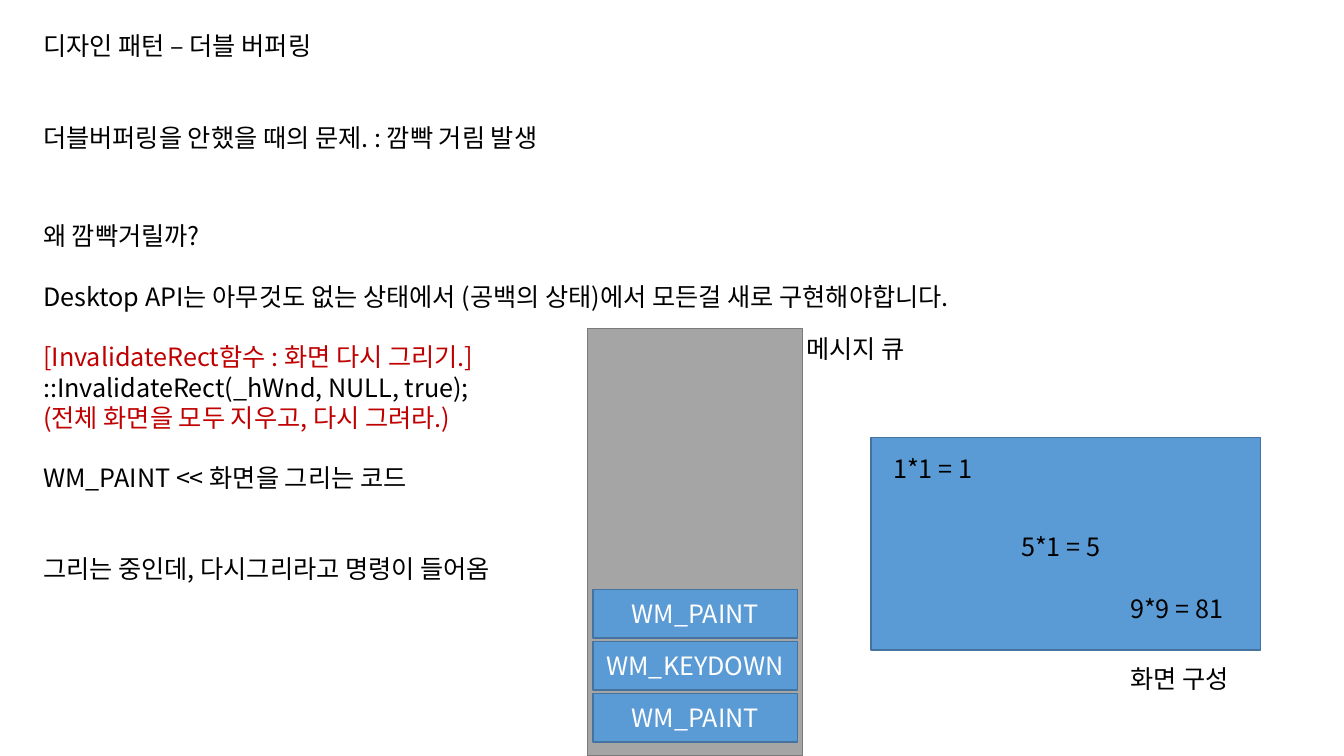
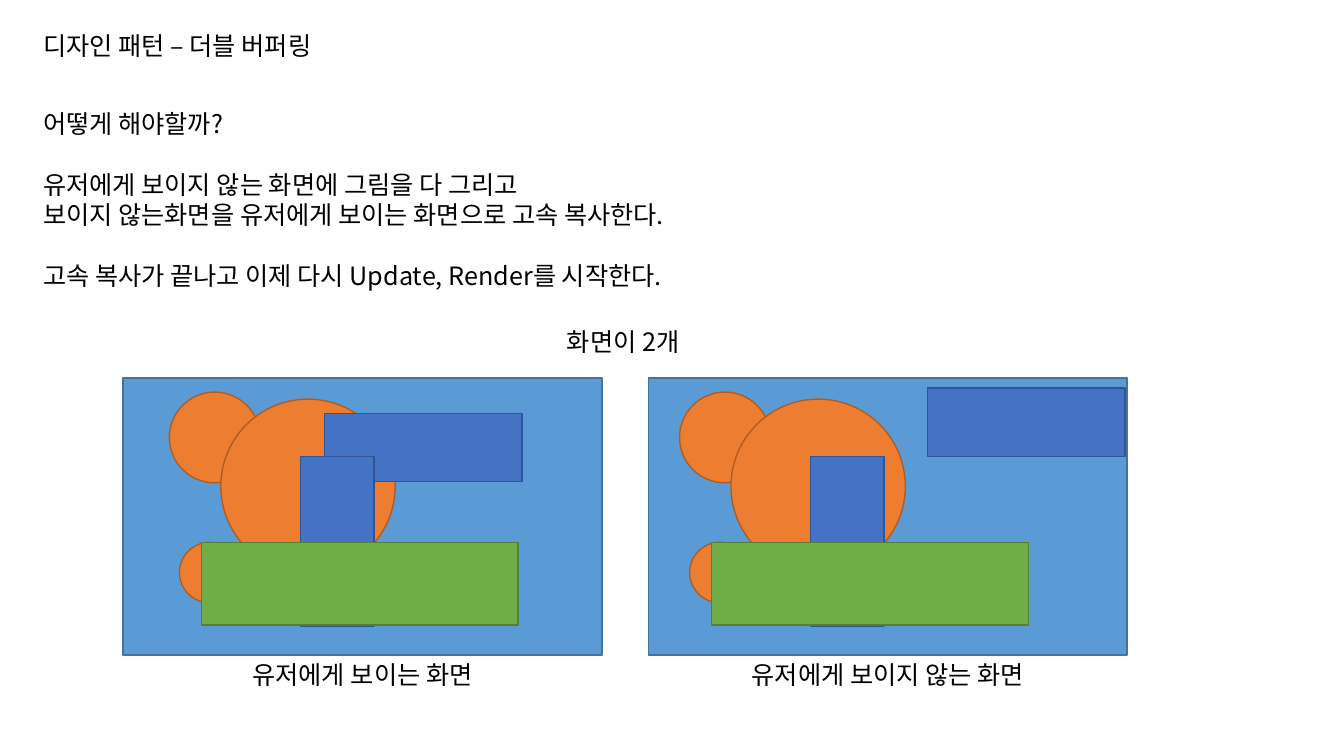
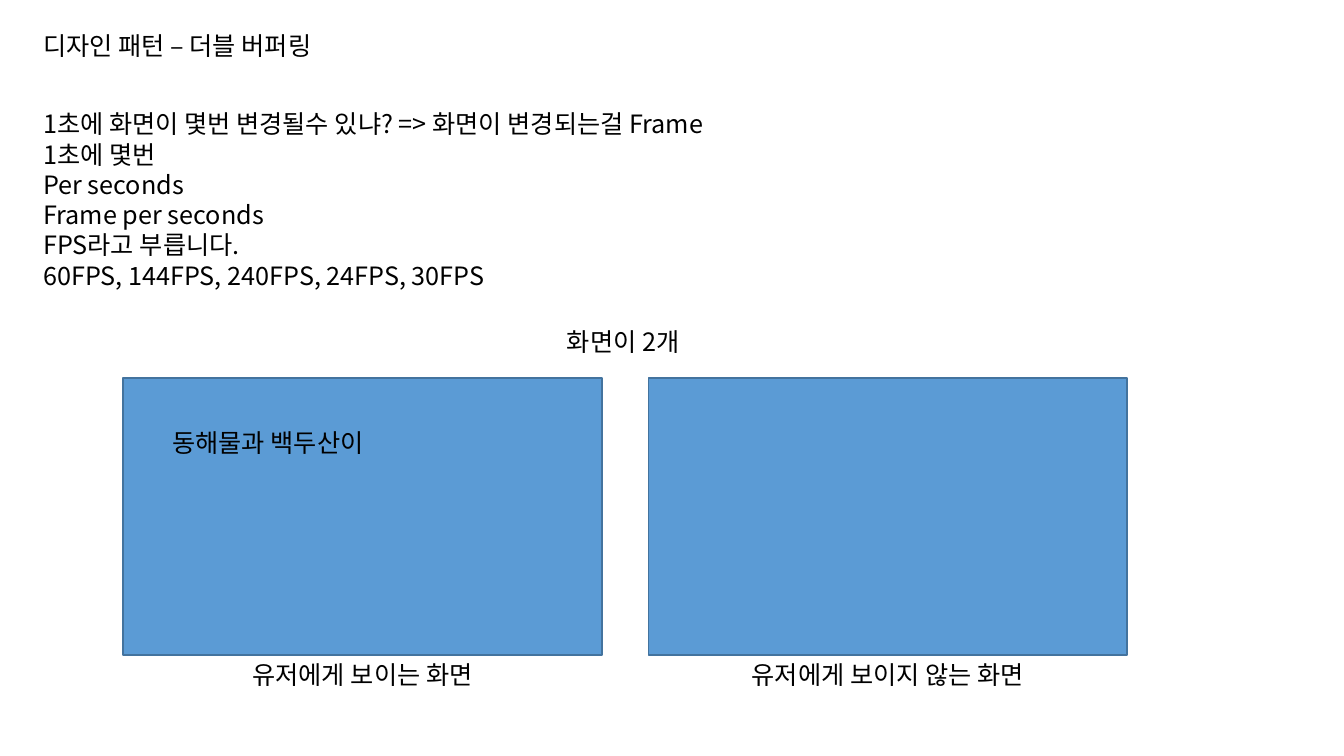
from lxml import etree
from pptx import Presentation
from pptx.dml.color import RGBColor
from pptx.enum.shapes import MSO_SHAPE
from pptx.enum.text import MSO_ANCHOR, MSO_AUTO_SIZE, PP_ALIGN
from pptx.oxml.ns import qn
from pptx.util import Inches, Pt

RECT, OVAL = MSO_SHAPE.RECTANGLE, MSO_SHAPE.OVAL
TOP, MIDDLE = MSO_ANCHOR.TOP, MSO_ANCHOR.MIDDLE
LEFT, CENTER = PP_ALIGN.LEFT, PP_ALIGN.CENTER

BLACK = RGBColor(0x00, 0x00, 0x00)
WHITE = RGBColor(0xFF, 0xFF, 0xFF)
RED = RGBColor(0xC0, 0x00, 0x00)

# Each style is a fill and its outline
GRAY = RGBColor(0xA5, 0xA5, 0xA5), RGBColor(0x7A, 0x7A, 0x7A)
SKY = RGBColor(0x5B, 0x9B, 0xD5), RGBColor(0x43, 0x73, 0x9E)
ORANGE = RGBColor(0xED, 0x7D, 0x31), RGBColor(0xAF, 0x5C, 0x24)
BLUE = RGBColor(0x44, 0x72, 0xC4), RGBColor(0x32, 0x54, 0x91)
GREEN = RGBColor(0x70, 0xAD, 0x47), RGBColor(0x53, 0x80, 0x35)

FONT = "Noto Sans CJK KR"
FONT_SIZE = 18
LINE_PITCH = 21.6

# Grid unit: one inch
SLIDE_W, SLIDE_H = 13.33, 7.5
MARGIN = 0.33
LINE_H = 0.4
SCREEN_W, SCREEN_H, SCREEN_TOP = 4.75, 2.75, 3.75
SHOWN_X, HIDDEN_X = 1.22, 6.43
TITLE = "디자인 패턴 – 더블 버퍼링"


def inches(*lengths):
    return [Inches(length) for length in lengths]


def write(frame, lines, color=BLACK, align=LEFT, anchor=TOP):
    """Fill a frame; a line is a text or (text, blank lines above, colour)."""
    frame.word_wrap = True
    frame.auto_size = MSO_AUTO_SIZE.NONE
    frame.vertical_anchor = anchor
    frame.margin_left = frame.margin_right = Inches(0.1)
    frame.margin_top = frame.margin_bottom = Inches(0.05)
    if isinstance(lines, str):
        lines = [lines]
    for index, line in enumerate(lines):
        text, gap, tint = (line, 0, color) if isinstance(line, str) else line
        paragraph = frame.paragraphs[0] if index == 0 else frame.add_paragraph()
        paragraph.alignment = align
        paragraph.line_spacing = Pt(LINE_PITCH)
        paragraph.space_before = Pt(gap * LINE_PITCH)
        paragraph.space_after = Pt(0)
        run = paragraph.add_run()
        run.text = text
        run.font.name = FONT
        run.font.size = Pt(FONT_SIZE)
        run.font.color.rgb = tint
        # Korean glyphs take the East Asian typeface
        east_asian = etree.SubElement(run.font._element, qn("a:ea"))
        east_asian.set("typeface", FONT)


def add_text(slide, lines, left, top, width, height=LINE_H, **style):
    box = slide.shapes.add_textbox(*inches(left, top, width, height))
    write(box.text_frame, lines, **style)


def add_figure(slide, kind, style, left, top, width, height, label=None):
    figure = slide.shapes.add_shape(kind, *inches(left, top, width, height))
    fill, outline = style
    figure.shadow.inherit = False
    figure.fill.solid()
    figure.fill.fore_color.rgb = fill
    figure.line.color.rgb = outline
    figure.line.width = Pt(1)
    if label:
        write(figure.text_frame, label, color=WHITE, align=CENTER, anchor=MIDDLE)


def add_slide(deck):
    slide = deck.slides.add_slide(deck.slide_layouts[5])
    title = slide.shapes.title
    title.left, title.top, title.width, title.height = inches(
        MARGIN, 0.25, 3.13, LINE_H)
    write(title.text_frame, TITLE)
    return slide


def add_screens(slide):
    """Two screens side by side, each with a centred caption."""
    screens = ((SHOWN_X, "유저에게 보이는 화면", 2.6),
               (HIDDEN_X, "유저에게 보이지 않는 화면", 3.18))
    for left, caption, width in screens:
        add_figure(slide, RECT, SKY, left, SCREEN_TOP, SCREEN_W, SCREEN_H)
        add_text(slide, caption, left + (SCREEN_W - width) / 2, 6.49, width,
                 align=CENTER)
    add_text(slide, "화면이 2개", 5.46, 3.19, 1.44, align=CENTER)


def add_drawing(slide, left, bar_left, bar_top):
    """Circles and blocks drawn on a screen; only the bar moves freely."""
    for dx, top, size in ((0, 3.89, 0.9), (0.1, 5.38, 0.6), (0.51, 3.96, 1.73)):
        add_figure(slide, OVAL, ORANGE, left + dx, top, size, size)
    add_figure(slide, RECT, BLUE, bar_left, bar_top, 1.96, 0.68)
    add_figure(slide, RECT, BLUE, left + 1.3, 4.53, 0.73, 1.68)
    add_figure(slide, RECT, GREEN, left + 0.32, 5.38, 3.14, 0.82)


def build_problem(deck):
    slide = add_slide(deck)
    add_text(slide, "더블버퍼링을 안했을 때의 문제. : 깜빡 거림 발생", MARGIN, 1.16, 5.66)
    add_text(slide, [
        "왜 깜빡거릴까?",
        ("Desktop API는 아무것도 없는 상태에서 (공백의 상태)에서 모든걸 새로 구현해야합니다.",
         1, BLACK),
        ("[InvalidateRect함수 : 화면 다시 그리기.]", 1, RED),
        "::InvalidateRect(_hWnd, NULL, true);",
        ("(전체 화면을 모두 지우고, 다시 그려라.)", 0, RED),
        ("WM_PAINT << 화면을 그리는 코드", 1, BLACK),
        ("그리는 중인데, 다시그리라고 명령이 들어옴", 2, BLACK),
    ], MARGIN, 2.14, 10.33, 4.04)

    # Message queue
    queue_top = 3.26
    add_figure(slide, RECT, GRAY, 5.83, queue_top, 2.13, SLIDE_H - queue_top)
    add_text(slide, "메시지 큐", 7.9, queue_top, 1.3)
    for row, message in enumerate(("WM_PAINT", "WM_KEYDOWN", "WM_PAINT")):
        add_figure(slide, RECT, SKY, 5.88, 5.85 + row * 0.515, 2.03, 0.48,
                   label=message)

    # Screen being painted
    add_figure(slide, RECT, SKY, 8.64, 4.34, 3.86, 2.11)
    for text, left, top, width in (("1*1 = 1", 8.76, 4.45, 1.08),
                                   ("5*1 = 5", 10.03, 5.22, 1.08),
                                   ("9*9 = 81", 11.11, 5.84, 1.22),
                                   ("화면 구성", 11.11, 6.53, 1.28)):
        add_text(slide, text, left, top, width)


def build_solution(deck):
    slide = add_slide(deck)
    add_text(slide, [
        "어떻게 해야할까?",
        ("유저에게 보이지 않는 화면에 그림을 다 그리고", 1, BLACK),
        "보이지 않는화면을 유저에게 보이는 화면으로 고속 복사한다.",
        ("고속 복사가 끝나고 이제 다시 Update, Render를 시작한다.", 1, BLACK),
    ], MARGIN, 1.03, 6.99, 1.92)
    add_screens(slide)
    add_drawing(slide, 1.68, bar_left=3.22, bar_top=4.1)
    add_drawing(slide, 6.74, bar_left=9.2, bar_top=3.85)


def build_frame_rate(deck):
    slide = add_slide(deck)
    add_text(slide, [
        "1초에 화면이 몇번 변경될수 있냐? => 화면이 변경되는걸 Frame",
        "1초에 몇번",
        "Per seconds",
        "Frame per seconds",
        "FPS라고 부릅니다.",
        "60FPS, 144FPS, 240FPS, 24FPS, 30FPS",
    ], MARGIN, 1.03, 7.48, 1.92)
    add_screens(slide)
    add_text(slide, "동해물과 백두산이", 1.61, 4.19, 2.31)


def main():
    deck = Presentation()
    deck.slide_width, deck.slide_height = inches(SLIDE_W, SLIDE_H)
    build_problem(deck)
    build_solution(deck)
    build_frame_rate(deck)
    deck.save("out.pptx")


if __name__ == "__main__":
    main()
